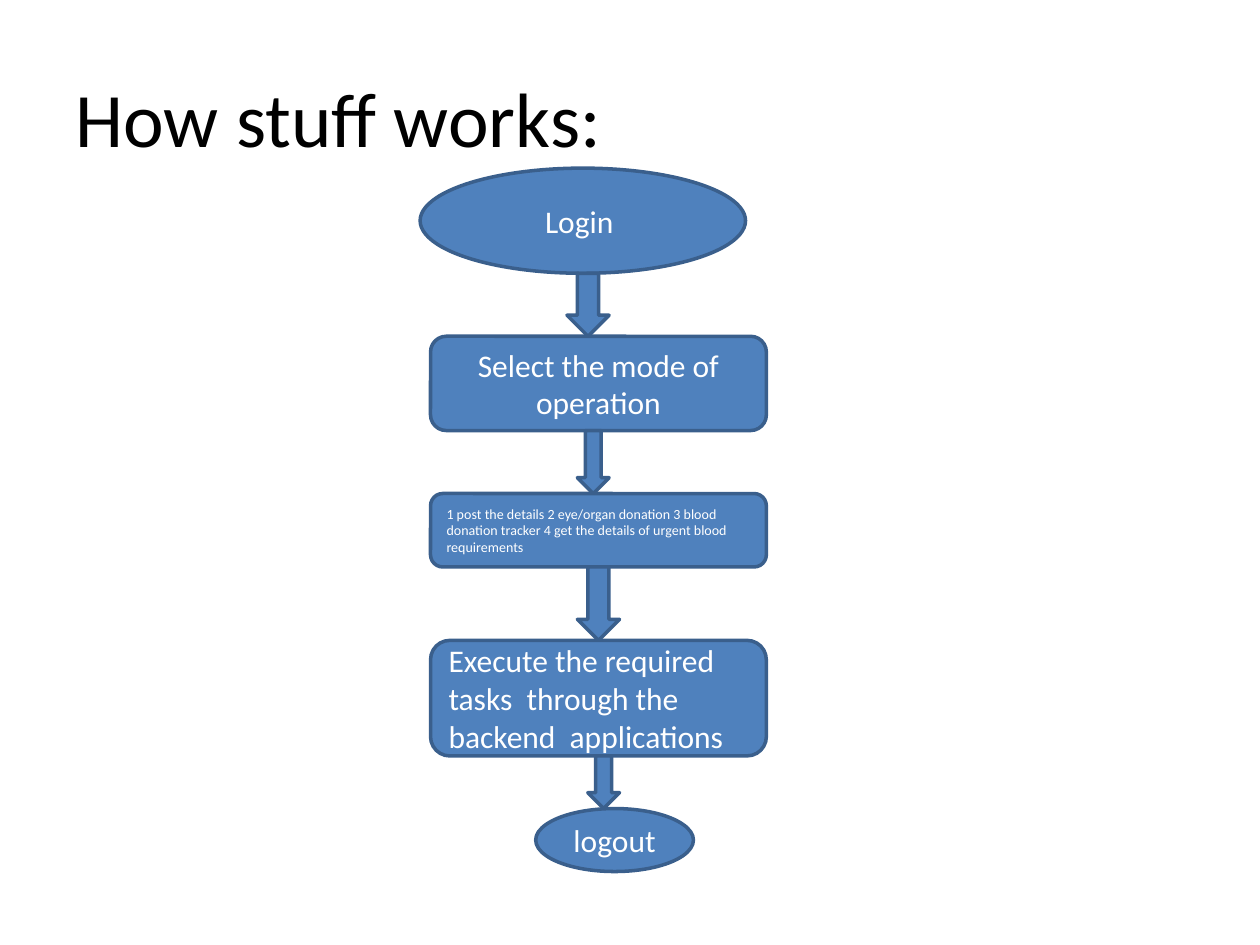
from pptx import Presentation, util as u
from pptx.dml.color import RGBColor
from pptx.enum import shapes, text

BLUE = RGBColor(0x4F, 0x81, 0xBD)
DARK_BLUE = RGBColor(0x3A, 0x5F, 0x8C)
WHITE = RGBColor(0xFF, 0xFF, 0xFF)
BLACK = RGBColor(0x00, 0x00, 0x00)
FONT = "Calibri"

OVAL = shapes.MSO_SHAPE.OVAL
BOX = shapes.MSO_SHAPE.ROUNDED_RECTANGLE
ARROW = shapes.MSO_SHAPE.DOWN_ARROW
LEFT = text.PP_ALIGN.LEFT
CENTER = text.PP_ALIGN.CENTER

deck = Presentation()
deck.slide_width, deck.slide_height = u.Cm(25.4), u.Cm(19.05)
page = deck.slides.add_slide(deck.slide_layouts[5])


def write(shape, words, size, color, align):
    frame = shape.text_frame
    frame.text = words
    frame.word_wrap = True
    frame.vertical_anchor = text.MSO_ANCHOR.MIDDLE
    para = frame.paragraphs[0]
    para.alignment = align
    font = para.runs[0].font
    font.name, font.size, font.color.rgb = FONT, u.Pt(size), color


# Title
title = page.shapes.title
title.left, title.top = u.Cm(1.27), u.Cm(0.76)
title.width, title.height = u.Cm(22.86), u.Cm(3.18)
write(title, "How stuff works:", 44, BLACK, LEFT)

# Flow steps from top to bottom: kind, left, width, height, words, size, alignment
steps = [
    (OVAL, 8.47, 6.56, 2.12, "Login ", 18, CENTER),
    (ARROW, 11.43, 0.85, 1.27, "", 18, CENTER),
    (BOX, 8.68, 6.77, 1.9, "Select the mode of operation", 18, CENTER),
    (ARROW, 11.64, 0.64, 1.27, "", 18, CENTER),
    (BOX, 8.68, 6.77, 1.48,
     "1 post the details 2 eye/organ donation 3 blood donation tracker "
     "4 get the details of urgent blood requirements", 8, LEFT),
    (ARROW, 11.64, 0.85, 1.48, "", 18, CENTER),
    (BOX, 8.68, 6.77, 2.33,
     "Execute the required tasks  through the backend  applications", 18, LEFT),
    (ARROW, 11.85, 0.64, 1.06, "", 18, CENTER),
    (OVAL, 10.8, 3.18, 1.27, "logout", 18, CENTER),
]

# Each step begins where the one above it ends
top = 3.39
for kind, left, width, height, words, size, align in steps:
    step = page.shapes.add_shape(kind, u.Cm(left), u.Cm(top), u.Cm(width), u.Cm(height))
    step.shadow.inherit = False
    step.fill.solid()
    step.fill.fore_color.rgb = BLUE
    step.line.color.rgb = DARK_BLUE
    step.line.width = u.Pt(2)
    if words:
        write(step, words, size, WHITE, align)
    top += height

deck.save("out.pptx")
